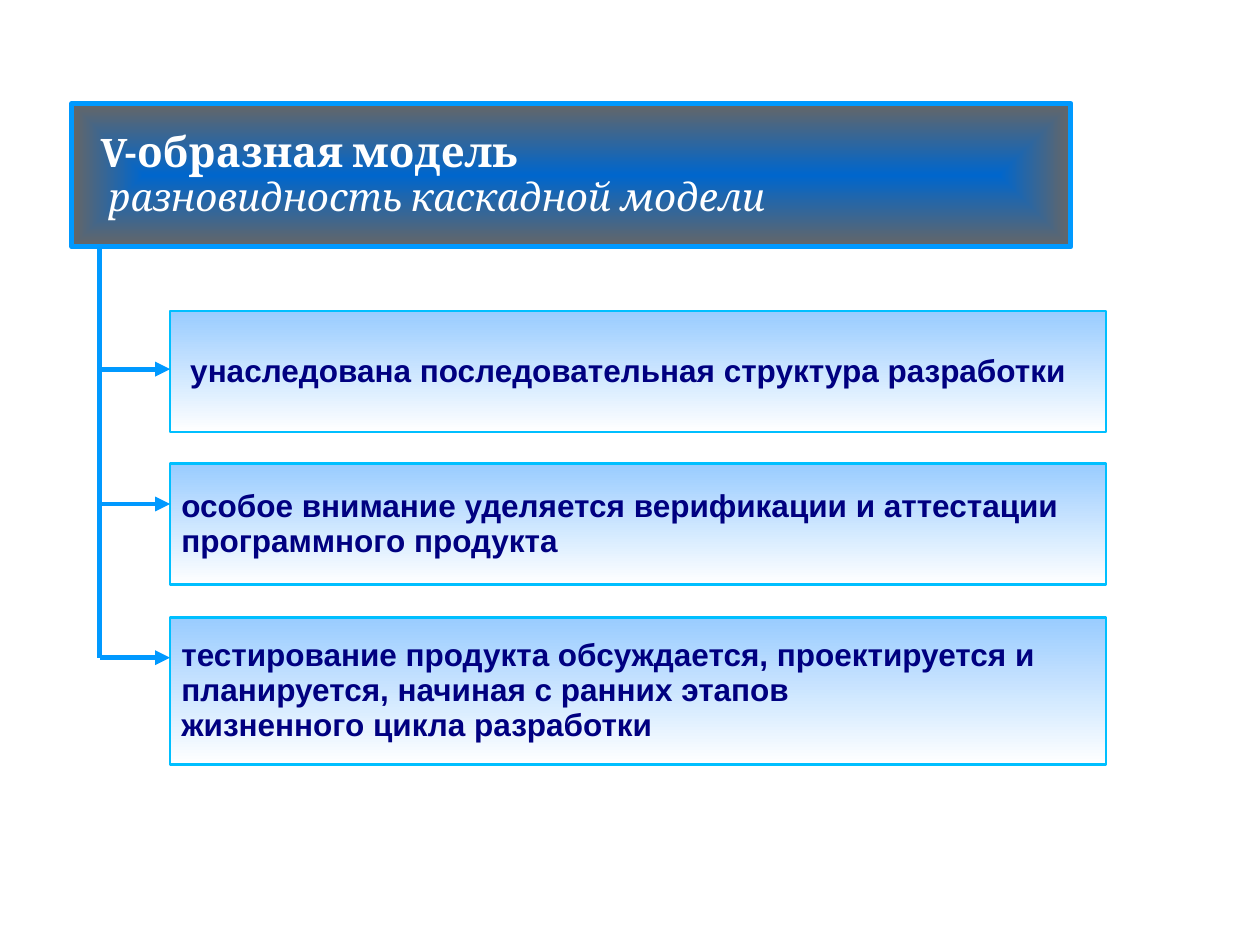
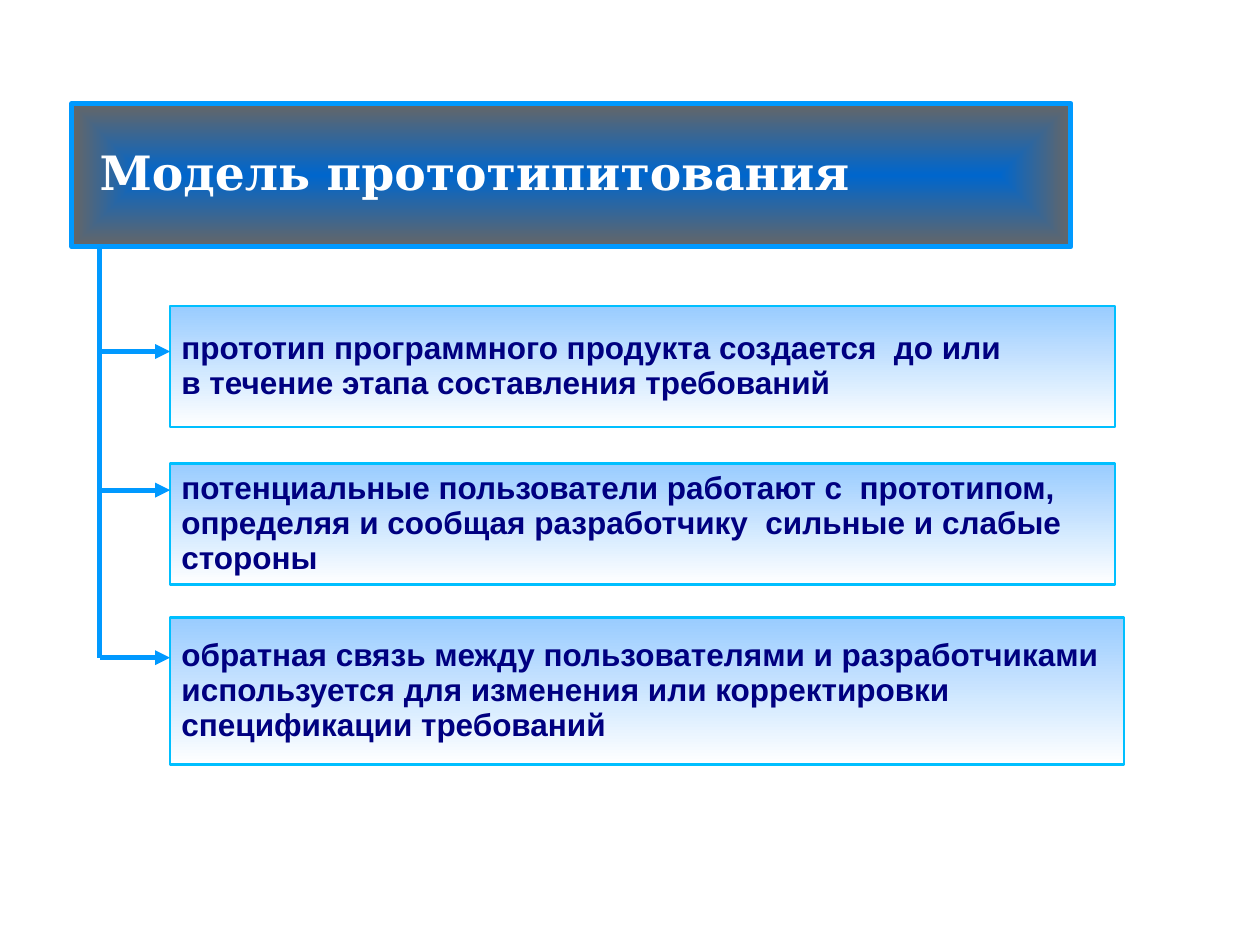
import pptx
import pptx.dml.color
import pptx.enum.shapes
import pptx.enum.text
import pptx.util
from lxml import etree
from pptx.util import Inches, Pt

SLIDES = [
    {
        "font": "Cambria",
        "title": [
            {"text": "V-образная модель", "size": 24, "bold": True, "indent": 0.14},
            {"text": "разновидность каскадной модели", "size": 22, "italic": True, "indent": 0.2},
        ],
        "boxes": [
            {"top": 2.47, "height": 0.96, "width": 7.43, "arrow": 2.93, "indent": 0.07,
             "lines": ["унаследована последовательная структура разработки"]},
            {"top": 3.68, "height": 0.96, "width": 7.43, "arrow": 4,
             "lines": ["особое внимание уделяется верификации и аттестации",
                       "программного продукта"]},
            {"top": 4.9, "height": 1.17, "width": 7.43, "arrow": 5.22,
             "lines": ["тестирование продукта обсуждается, проектируется и",
                       "планируется, начиная с ранних этапов",
                       "жизненного цикла разработки"]},
        ],
    },
    {
        "font": "DejaVu Serif",
        "title": [{"text": "Модель прототипитования", "size": 27, "bold": True, "indent": 0.13}],
        "boxes": [
            {"top": 2.43, "height": 0.96, "width": 7.5, "arrow": 2.79,
             "lines": ["прототип программного продукта создается  до или",
                       "в течение этапа составления требований"]},
            {"top": 3.68, "height": 0.96, "width": 7.5, "arrow": 3.89,
             "lines": ["потенциальные пользователи работают с  прототипом,",
                       "определяя и сообщая разработчику  сильные и слабые",
                       "стороны"]},
            {"top": 4.9, "height": 1.17, "width": 7.57, "arrow": 5.22,
             "lines": ["обратная связь между пользователями и разработчиками",
                       "используется для изменения или корректировки",
                       "спецификации требований"]},
        ],
    },
]

BAND = (0.57, 0.82, 7.93, 1.14)
TRUNK_X, BOX_X = 0.79, 1.35
BAND_CENTRE, BAND_EDGE, BRANCH = "0066CC", "666666", "0099FF"
BOX_TOP, BOX_BOTTOM, BOX_LINE = "99CCFF", "FFFFFF", "00BFFF"
TITLE_TEXT, BOX_TEXT = "FFFFFF", "000080"
BOX_FONT, BOX_SIZE = "Arial", 18
LINE_SPACING = 0.93


def color(value):
    return pptx.dml.color.RGBColor.from_string(value)


def add_element(parent, tag, **attributes):
    name = pptx.oxml.ns.qn(tag)
    return etree.SubElement(parent, name, attributes)


def set_outline(shape, value, width):
    shape.line.color.rgb = color(value)
    shape.line.width = Pt(width)


def set_gradient(shape, start, end, centred=False):
    shape.fill.gradient()
    for stop, value, position in zip(shape.fill.gradient_stops, (start, end), (0, 1)):
        stop.color.rgb = color(value)
        stop.position = position
    shape.fill.gradient_angle = 270
    if centred:
        linear = next(shape.element.spPr.iter(pptx.oxml.ns.qn("a:lin")))
        gradient = linear.getparent()
        gradient.remove(linear)
        focus = add_element(gradient, "a:path", path="rect")
        add_element(focus, "a:fillToRect", l="50000", t="50000", r="50000", b="50000")


def set_text(shape, lines, font, value, margin):
    frame = shape.text_frame
    frame.word_wrap = True
    frame.auto_size = pptx.enum.text.MSO_AUTO_SIZE.NONE
    frame.vertical_anchor = pptx.enum.text.MSO_ANCHOR.MIDDLE
    frame.margin_left = frame.margin_right = Inches(0.09)
    frame.margin_top = frame.margin_bottom = Inches(margin)
    for number, line in enumerate(lines):
        para = frame.add_paragraph() if number else frame.paragraphs[0]
        para.text = line["text"]
        para.alignment = pptx.enum.text.PP_ALIGN.LEFT
        para.line_spacing = LINE_SPACING
        para._p.get_or_add_pPr().set("marL", str(Inches(line.get("indent", 0))))
        para.font.name = font
        para.font.size = Pt(line["size"])
        para.font.bold = line.get("bold", False)
        para.font.italic = line.get("italic", False)
        para.font.color.rgb = color(value)


def add_title(page, lines, font):
    band = page.shapes.title
    band.left, band.top, band.width, band.height = map(Inches, BAND)
    set_gradient(band, BAND_CENTRE, BAND_EDGE, centred=True)
    set_outline(band, BRANCH, 2.83)
    set_text(band, lines, font, TITLE_TEXT, 0.04)


def add_branch(page, start, end, arrow=False):
    branch = page.shapes.add_connector(
        pptx.enum.shapes.MSO_CONNECTOR.STRAIGHT, *map(Inches, start + end))
    set_outline(branch, BRANCH, 2.83)
    if arrow:
        add_element(branch.line._get_or_add_ln(), "a:tailEnd", type="triangle")
    add_element(branch._element.spPr, "a:effectLst")


def add_box(page, box):
    place = (BOX_X, box["top"], box["width"], box["height"])
    shape = page.shapes.add_shape(
        pptx.enum.shapes.MSO_SHAPE.RECTANGLE, *map(Inches, place))
    shape.shadow.inherit = False
    set_gradient(shape, BOX_TOP, BOX_BOTTOM)
    set_outline(shape, BOX_LINE, 1.42)
    lines = [{"text": text, "size": BOX_SIZE, "bold": True, "indent": box.get("indent", 0)}
             for text in box["lines"]]
    set_text(shape, lines, BOX_FONT, BOX_TEXT, 0.05)


def main():
    """Build the two model slides and save the deck."""
    deck = pptx.Presentation()
    deck.slide_width, deck.slide_height = Inches(10), Inches(7.5)
    layout = deck.slide_layouts.get_by_name("Title Only")
    for content in SLIDES:
        page = deck.slides.add_slide(layout)
        add_title(page, content["title"], content["font"])
        boxes = content["boxes"]
        band_bottom = BAND[1] + BAND[3]
        add_branch(page, (TRUNK_X, band_bottom), (TRUNK_X, boxes[-1]["arrow"]))
        for box in boxes:
            add_box(page, box)
            add_branch(page, (TRUNK_X, box["arrow"]), (BOX_X, box["arrow"]), arrow=True)
    deck.save("out.pptx")


if __name__ == "__main__":
    main()
